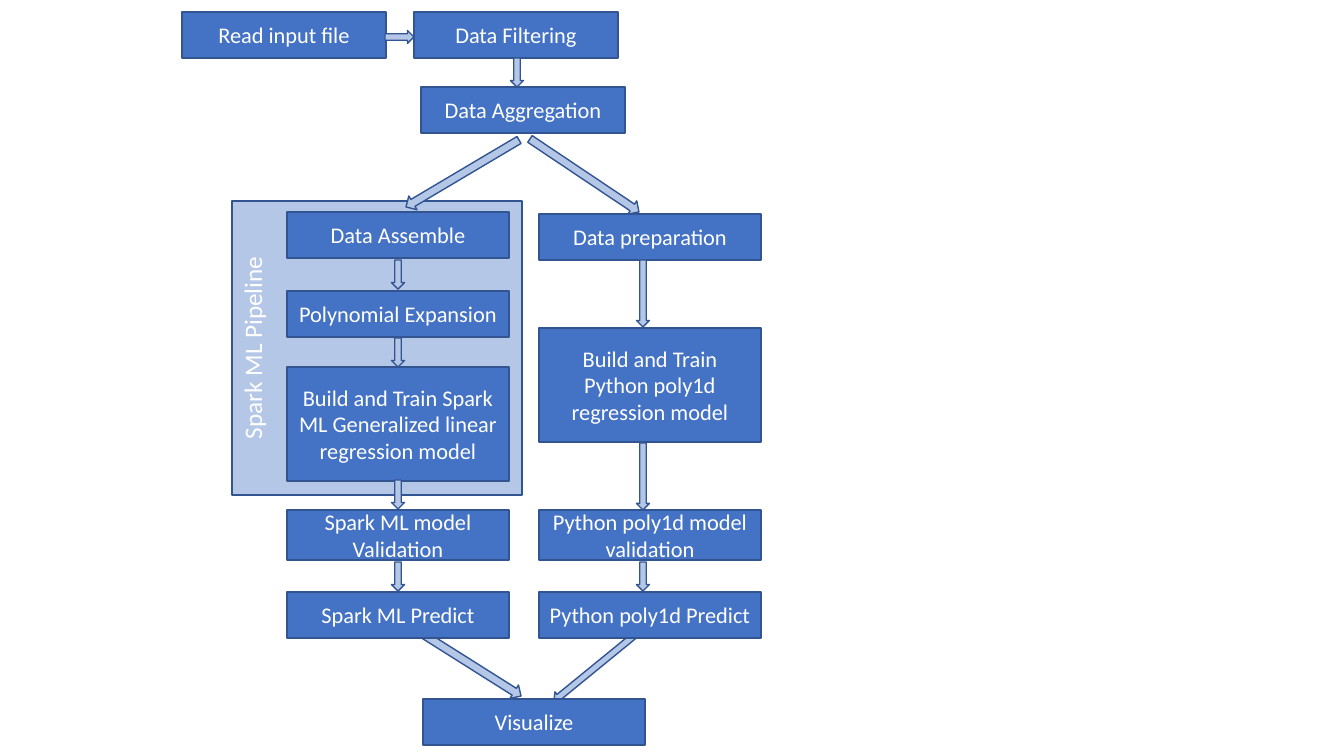
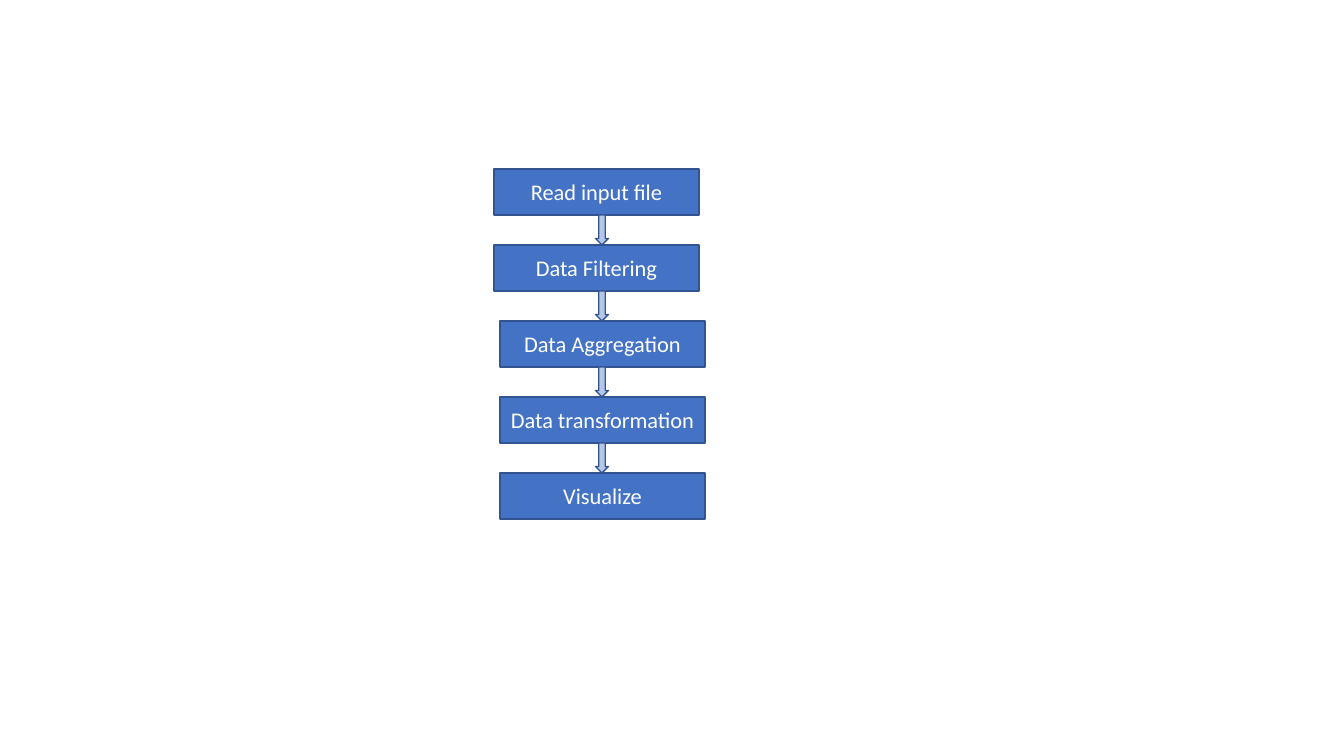
from math import atan2, degrees, hypot

from pptx import Presentation
from pptx.dml.color import RGBColor
from pptx.enum.shapes import MSO_SHAPE
from pptx.enum.text import MSO_ANCHOR, PP_ALIGN
from pptx.util import Emu, Pt

PX = 914400 / 100.8
FONT = "Calibri"
COLORS = {"box": "4472C4", "light": "B4C7E7", "line": "325491", "text": "FFFFFF"}
BOX_H, MODEL_H, CHECK_H = 46, 114, 50
ARROW_W, WIDE_ARROW_W = 13, 16

PANEL = ("Spark ML Pipeline", 232, 201, 290, 294)
TOP_W, TOP_STEPS = 204, [
    ("Read input file", 182, 12),
    ("Data Filtering", 414, 12),
    ("Data Aggregation", 421, 87),
]
BRANCH_W, BRANCHES = 222, {
    287: [
        ("Data Assemble", 212, BOX_H),
        ("Polynomial Expansion", 291, BOX_H),
        ("Build and Train Spark ML Generalized linear regression model", 367, MODEL_H),
        ("Spark ML model Validation", 510, CHECK_H),
        ("Spark ML Predict", 592, BOX_H),
    ],
    539: [
        ("Data preparation", 214, BOX_H),
        ("Build and Train Python poly1d regression model", 328, MODEL_H),
        ("Python poly1d model validation", 510, CHECK_H),
        ("Python poly1d Predict", 592, BOX_H),
    ],
    423: [("Visualize", 699, BOX_H)],
}
DIAGONALS = [
    ((519, 140), (406, 207), WIDE_ARROW_W),
    ((530, 139), (639, 212), WIDE_ARROW_W),
    ((410, 626), (521, 696), WIDE_ARROW_W),
    ((641, 630), (554, 701), ARROW_W),
]
DOWN_ARROWS = {
    517: [(58, 87)],
    398: [(260, 289), (338, 367), (480, 509), (562, 591)],
    643: [(260, 327), (443, 510), (562, 591)],
}

CHAIN_W, CHAIN_TOP, CHAIN_STEP, CHAIN_ARROW_X = 205, 169, 76, 602
CHAIN = [
    ("Read input file", 494),
    ("Data Filtering", 494),
    ("Data Aggregation", 500),
    ("Data transformation", 500),
    ("Visualize", 500),
]


def rgb(name):
    return RGBColor.from_string(COLORS[name])


def add_shape(s, kind, x, y, w, h, fill):
    sp = s.shapes.add_shape(kind, *(Emu(round(v * PX)) for v in (x, y, w, h)))
    sp.shadow.inherit = False
    sp.fill.solid()
    sp.fill.fore_color.rgb = rgb(fill)
    sp.line.color.rgb = rgb("line")
    sp.line.width = Pt(1)
    return sp


def add_box(s, text, x, y, w, h=BOX_H, fill="box", size=16):
    sp = add_shape(s, MSO_SHAPE.RECTANGLE, x, y, w, h, fill)
    tf = sp.text_frame
    tf.word_wrap = True
    tf.vertical_anchor = MSO_ANCHOR.MIDDLE
    tf.text = text
    p = tf.paragraphs[0]
    p.alignment = PP_ALIGN.CENTER
    font = p.runs[0].font
    font.name, font.size = FONT, Pt(size)
    font.color.rgb = rgb("text")
    return sp


def add_arrow(s, start, end, width=ARROW_W):
    (x1, y1), (x2, y2) = start, end
    length = hypot(x2 - x1, y2 - y1)
    left, top = (x1 + x2 - length) / 2, (y1 + y2 - width) / 2
    sp = add_shape(s, MSO_SHAPE.RIGHT_ARROW, left, top, length, width, "light")
    sp.rotation = degrees(atan2(y2 - y1, x2 - x1))


def build_branches(s):
    panel = add_box(s, *PANEL, fill="light", size=18)
    panel.text_frame.vertical_anchor = MSO_ANCHOR.TOP
    panel.text_frame._txBody.bodyPr.set("vert", "vert270")
    for start, end, width in DIAGONALS:
        add_arrow(s, start, end, width)
    for text, x, y in TOP_STEPS:
        add_box(s, text, x, y, TOP_W)
    for x, steps in BRANCHES.items():
        for text, y, h in steps:
            add_box(s, text, x, y, BRANCH_W, h)
    add_arrow(s, (385, 37), (414, 37))
    for x, spans in DOWN_ARROWS.items():
        for top, bottom in spans:
            add_arrow(s, (x, top), (x, bottom))


def build_chain(s):
    for i, (text, x) in enumerate(CHAIN):
        y = CHAIN_TOP + i * CHAIN_STEP
        add_box(s, text, x, y, CHAIN_W)
        if i:
            add_arrow(s, (CHAIN_ARROW_X, y - CHAIN_STEP + BOX_H), (CHAIN_ARROW_X, y))


prs = Presentation()
prs.slide_width, prs.slide_height = Emu(round(1344 * PX)), Emu(round(756 * PX))
for build in (build_branches, build_chain):
    build(prs.slides.add_slide(prs.slide_layouts[6]))
prs.save("out.pptx")
